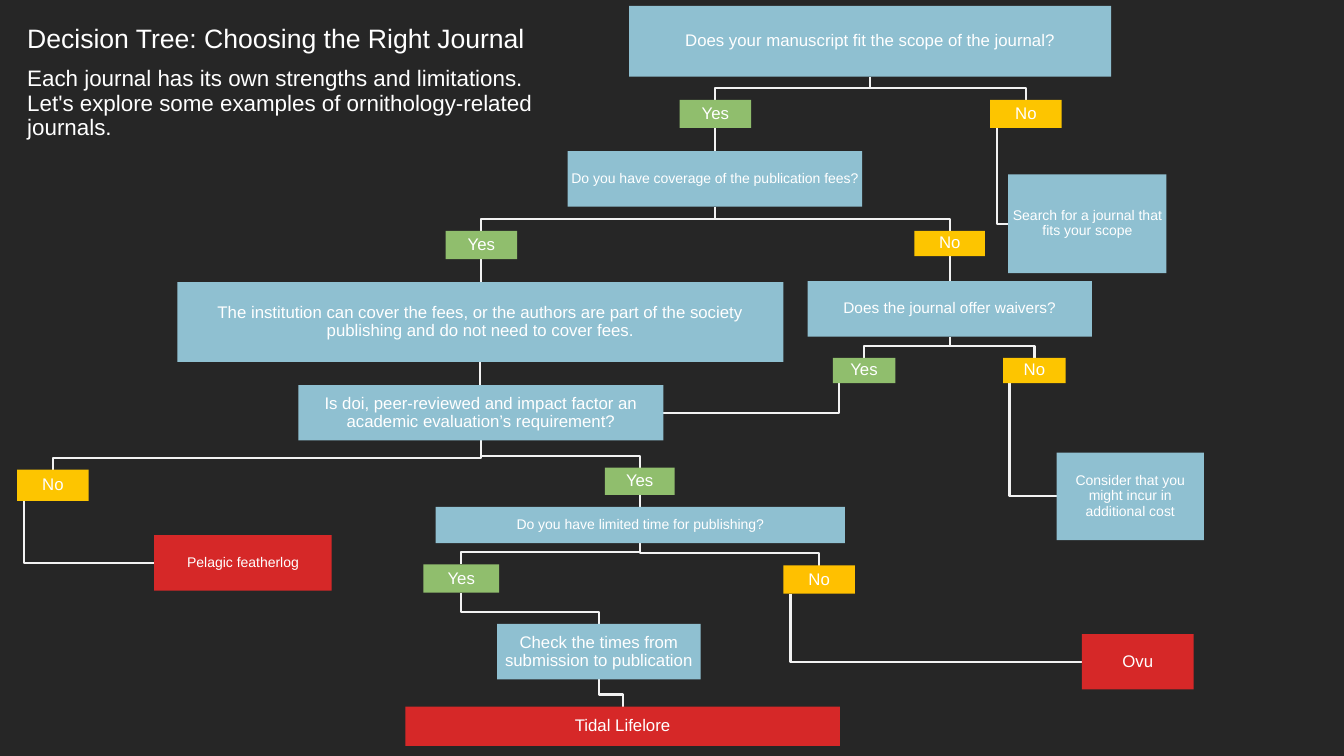
from lxml import etree
from pptx import Presentation, util as u
from pptx.dml.color import RGBColor
from pptx.enum import shapes, text
from pptx.oxml.ns import qn

HUE = {"back": "262626", "ask": "8FC0D1", "yes": "90BE6D", "no": "FDC500",
       "slow": "FFC000", "end": "D62828", "text": "FFFFFF", "line": "F2F2F2"}

# name: left, top, width, height, colour, point size, wording
NODES = {
    "scope": (6.24, 0.06, 4.78, 0.7, "ask", 12,
              "Does your manuscript fit the scope of the journal?"),
    "fits": (6.74, 0.99, 0.71, 0.28, "yes", 12, "Yes"),
    "misfit": (9.82, 0.99, 0.71, 0.28, "no", 12, "No"),
    "search": (10, 1.73, 1.57, 0.98, "ask", 10,
               "Search for a journal that fits your scope"),
    "fees": (5.63, 1.5, 2.92, 0.55, "ask", 10,
             "Do you have coverage of the publication fees?"),
    "funded": (4.42, 2.29, 0.71, 0.28, "yes", 12, "Yes"),
    "unfunded": (9.07, 2.29, 0.7, 0.25, "no", 12, "No"),
    "cover": (1.76, 2.8, 6.01, 0.79, "ask", 12,
              "The institution can cover the fees, or the authors are part of "
              "the society publishing and do not need to cover fees."),
    "waiver": (8.01, 2.79, 2.82, 0.55, "ask", 11,
               "Does the journal offer waivers?"),
    "waived": (8.26, 3.55, 0.62, 0.25, "yes", 12, "Yes"),
    "unwaived": (9.95, 3.55, 0.62, 0.25, "no", 12, "No"),
    "cost": (10.48, 4.49, 1.46, 0.87, "ask", 10,
             "Consider that you might incur in additional cost"),
    "doi": (2.96, 3.82, 3.62, 0.55, "ask", 12,
            "Is doi, peer-reviewed and impact factor an academic "
            "evaluation’s requirement?"),
    "free": (0.17, 4.66, 0.71, 0.31, "no", 12, "No"),
    "open": (1.53, 5.31, 1.76, 0.55, "end", 10, "Pelagic featherlog"),
    "ranked": (6, 4.64, 0.69, 0.27, "yes", 12, "Yes"),
    "time": (4.32, 5.03, 4.06, 0.36, "ask", 10,
             "Do you have limited time for publishing?"),
    "rush": (4.2, 5.6, 0.75, 0.28, "yes", 12, "Yes"),
    "calm": (7.77, 5.61, 0.71, 0.28, "slow", 12, "No"),
    "check": (4.93, 6.19, 2.02, 0.55, "ask", 12,
              "Check the times from submission to publication"),
    "fast": (4.02, 7.01, 4.31, 0.39, "end", 12, "Tidal Lifelore"),
    "late": (10.73, 6.29, 1.11, 0.55, "end", 12, "Ovu"),
}
# parent: children below it
FORKS = {"scope": ["fits", "misfit"], "fits": ["fees"],
         "fees": ["funded", "unfunded"], "funded": ["cover"],
         "unfunded": ["waiver"], "waiver": ["waived", "unwaived"],
         "cover": ["doi"], "doi": ["free", "ranked"], "ranked": ["time"],
         "time": ["rush", "calm"], "rush": ["check"], "check": ["fast"]}
# answer: box beside and below it
SIDES = {"misfit": "search", "waived": "doi", "unwaived": "cost",
         "free": "open", "calm": "late"}


def tint(name):
    return RGBColor.from_string(HUE[name])


def style(par, size):
    par.line_spacing = 0.9
    par.space_before = u.Pt(0)
    for run in par.runs:
        run.font.name = "Arial"
        run.font.size = u.Pt(size)
        run.font.color.rgb = tint("text")


def trace(slide, pts):
    """Draw a straight or bent line through points in inches."""
    pts = [(u.Inches(x), u.Inches(y)) for x, y in pts]
    if len(pts) == 2:
        line = slide.shapes.add_connector(
            shapes.MSO_CONNECTOR.STRAIGHT, *pts[0], *pts[1])
        etree.SubElement(line._element.spPr, qn("a:effectLst"))
    else:
        pen = slide.shapes.build_freeform(*pts[0])
        pen.add_line_segments(pts[1:], close=False)
        line = pen.convert_to_shape()
        line.fill.background()
        line.shadow.inherit = False
    line.line.color.rgb = tint("line")
    line.line.width = u.Pt(1.5)


def fork(slide, box, kid):
    """Join the bottom centre of a box to the top centre of its child."""
    x, y = box[0] + box[2] / 2, box[1] + box[3]
    end, top = kid[0] + kid[2] / 2, kid[1]
    if abs(x - end) < 0.03:
        trace(slide, [(x, y), (x, top)])
    else:
        bend = top - 0.12
        trace(slide, [(x, y), (x, bend), (end, bend), (end, top)])


def side(slide, box, kid):
    """Drop from near an answer's left edge, then turn to the nearer side."""
    x, y = box[0] + box[2] / 10, box[1] + box[3]
    mid = kid[1] + kid[3] / 2
    end = kid[0] if kid[0] > x else kid[0] + kid[2]
    trace(slide, [(x, y), (x, mid), (end, mid)])


def node(slide, box, hue, size, words):
    rect = slide.shapes.add_shape(
        shapes.MSO_SHAPE.RECTANGLE, *[u.Inches(v) for v in box])
    rect.shadow.inherit = False
    rect.fill.solid()
    rect.fill.fore_color.rgb = tint(hue)
    rect.line.fill.background()
    frame = rect.text_frame
    frame.text = words
    frame.word_wrap = True
    frame.vertical_anchor = text.MSO_ANCHOR.MIDDLE
    frame.margin_left = frame.margin_right = u.Inches(0.01)
    frame.margin_top = frame.margin_bottom = u.Inches(0.01)
    par = frame.paragraphs[0]
    par.alignment = text.PP_ALIGN.CENTER
    style(par, size)


def tree(slide, left, top):
    boxes = {name: (left + x, top + y, w, h)
             for name, (x, y, w, h, *_) in NODES.items()}
    for name, kids in FORKS.items():
        for kid in kids:
            fork(slide, boxes[name], boxes[kid])
    for name, kid in SIDES.items():
        side(slide, boxes[name], boxes[kid])
    for name, data in NODES.items():
        node(slide, boxes[name], *data[4:])


def heading(slide, left, top, width):
    parts = [
        (slide.shapes.title, 0, 0.41, 19,
         "Decision Tree: Choosing the Right Journal"),
        (slide.placeholders[1], 0.42, 0.9, 16,
         "Each journal has its own strengths and limitations. Let's explore "
         "some examples of ornithology-related journals."),
    ]
    for hold, drop, high, size, words in parts:
        hold.left, hold.top = u.Inches(left), u.Inches(top + drop)
        hold.width, hold.height = u.Inches(width), u.Inches(high)
        frame = hold.text_frame
        frame.text = words
        frame.word_wrap = True
        frame.auto_size = text.MSO_AUTO_SIZE.NONE
        frame.vertical_anchor = text.MSO_ANCHOR.TOP
        par = frame.paragraphs[0]
        par.alignment = text.PP_ALIGN.LEFT
        style(par, size)
        props = par._p.get_or_add_pPr()
        props.set("marL", "0")
        props.set("indent", "0")
        etree.SubElement(props, qn("a:buNone"))


def main():
    deck = Presentation()
    deck.slide_width, deck.slide_height = u.Inches(13.33), u.Inches(7.5)
    slide = deck.slides.add_slide(deck.slide_layouts[1])
    slide.background.fill.solid()
    slide.background.fill.fore_color.rgb = tint("back")
    tree(slide, 0, 0)
    heading(slide, 0.17, 0.2, 5.27)
    deck.save("out.pptx")


if __name__ == "__main__":
    main()
